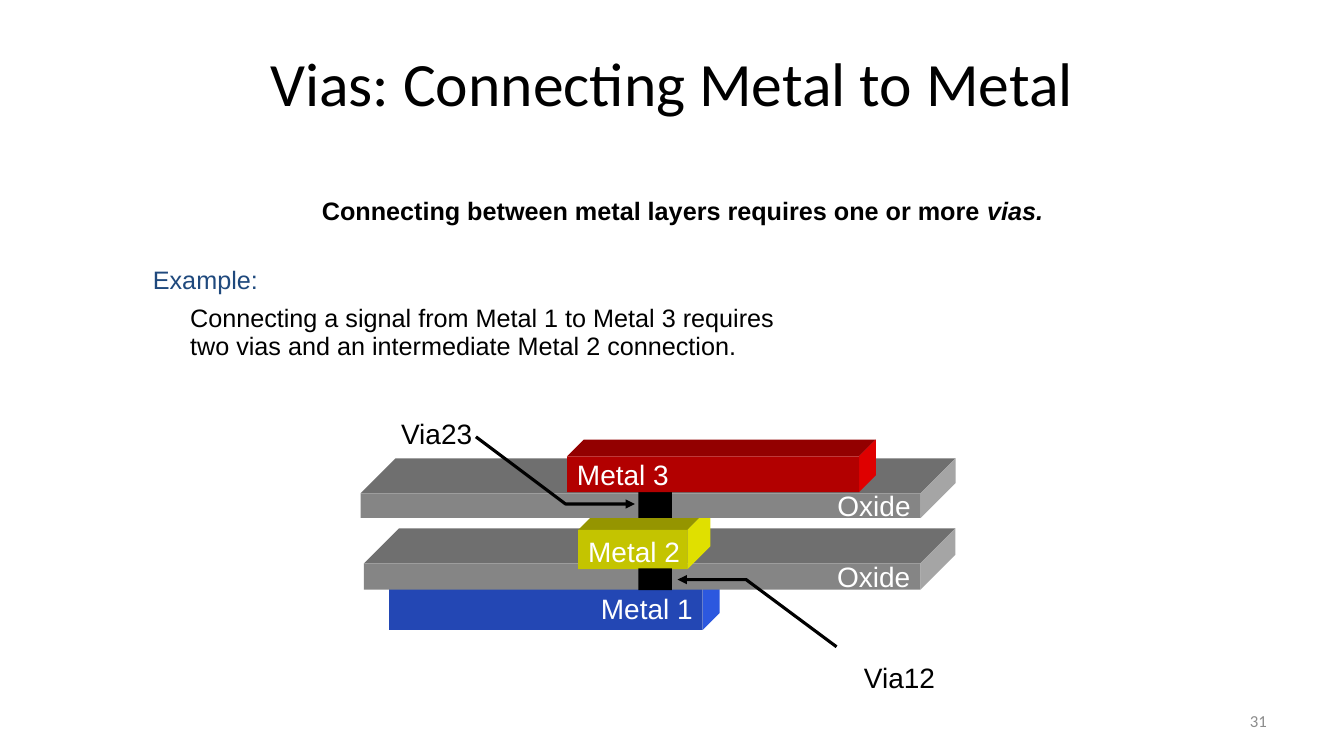
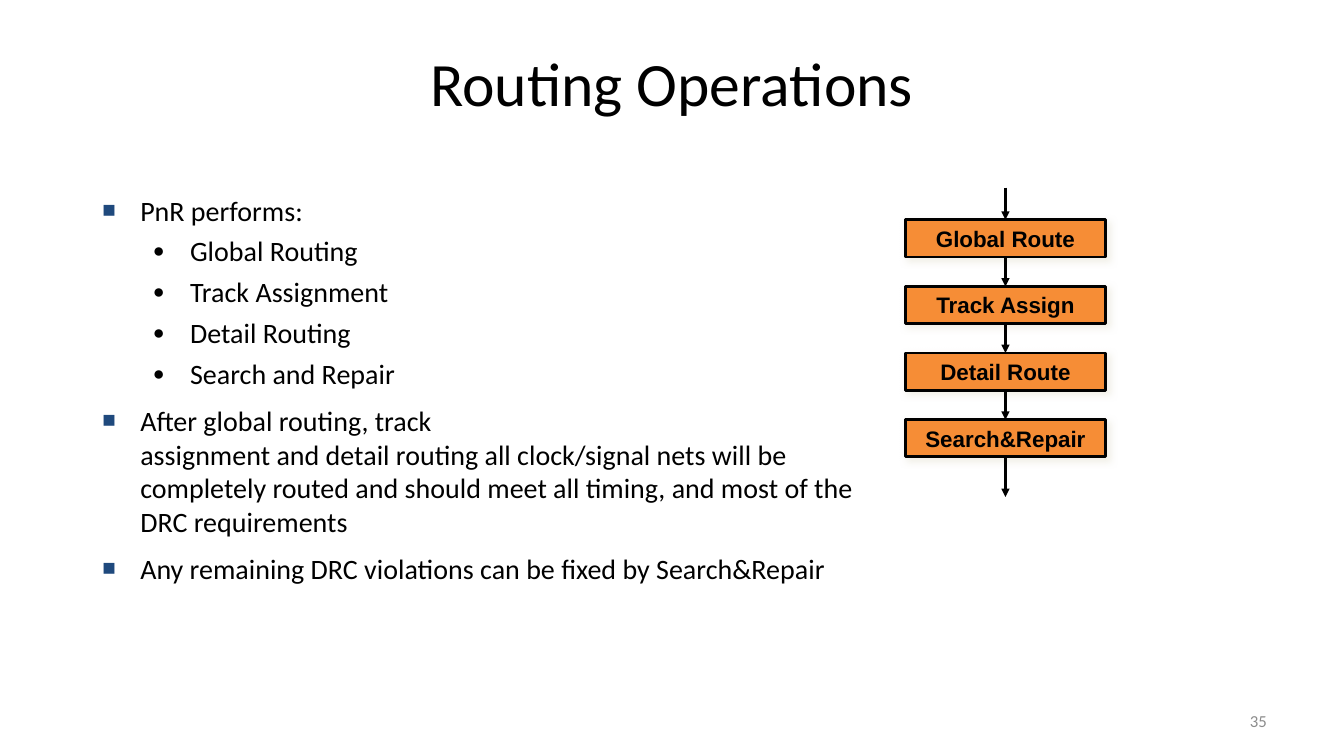
from lxml import etree
from pptx import Presentation
from pptx.dml.color import RGBColor
from pptx.enum.shapes import MSO_CONNECTOR as CONN, MSO_SHAPE as SHAPE
from pptx.enum.text import MSO_ANCHOR as ANCHOR, PP_ALIGN as ALIGN
from pptx.oxml.ns import qn
from pptx.util import Pt

BLACK, WHITE, NAVY, GREY = "000000", "FFFFFF", "1F497D", "8C8C8C"
ORANGE, SHADOW = "F68D36", "EEECE1"

TITLE_AT = (66, 28.8, 828, 104.4)
NUMBER_AT = (688, 500.5, 224, 28.8)

PLAIN = {"name": "Arial", "size": 18, "color": BLACK}
BOLD = {**PLAIN, "bold": True}
LABEL = {**PLAIN, "size": 20}
LAYER = {**LABEL, "color": WHITE}
STEP = {**BOLD, "size": 16}
LIST = {"name": "Calibri", "size": 20, "color": BLACK}
HEADING = {**LIST, "size": 44}
NUMBER = {**LIST, "size": 12, "color": GREY}

VIAS = {
    "title": "Vias: Connecting Metal to Metal",
    "number": "31",
    "body_at": (66, 138.2, 828, 152.6),
    "body": [
        ([("Connecting between metal layers requires one or more ", BOLD),
          ("vias.", {**BOLD, "italic": True})],
         {"left": 15, "line": 0.9, "align": ALIGN.CENTER}),
        ([("Example:", {**PLAIN, "color": NAVY})],
         {"left": 36, "line": 0.9, "before": 30}),
        ([("Connecting a signal from Metal 1 to Metal 3 requires \n"
           "two vias and an intermediate Metal 2 connection.", PLAIN)],
         {"left": 62.6, "line": 0.9, "before": 8}),
    ],
}

OXIDE = ("858585", "6F6F6F", "A5A5A5")
BLUE = ("2347B4", "1C3A93", "2C58DF")
YELLOW = ("C4C400", "959500", "E0E000")
RED = ("B20000", "930000", "DF0000")
VIA = (BLACK,)
STACK = [
    ("Metal 1", (278, 419, 224, 31), 12, BLUE, ALIGN.RIGHT, ANCHOR.MIDDLE),
    ("Oxide", (260, 402.4, 397.4, 18.8), 25, OXIDE, ALIGN.RIGHT, ANCHOR.MIDDLE),
    ("Metal 2", (413, 378.6, 78, 28), 16.5, YELLOW, ALIGN.LEFT, ANCHOR.TOP),
    ("", (456, 406, 24, 15.5), 0, VIA, ALIGN.LEFT, ANCHOR.MIDDLE),
    ("Oxide", (257.6, 352.4, 400, 17.6), 25, OXIDE, ALIGN.RIGHT, ANCHOR.MIDDLE),
    ("", (456, 345, 24, 25), 0, VIA, ALIGN.LEFT, ANCHOR.MIDDLE),
    ("Metal 3", (405, 326, 208.6, 25.6), 12, RED, ALIGN.LEFT, ANCHOR.MIDDLE),
]
CALLOUTS = [
    ("Via23", (279.4, 293.8, 65.6, 31), [(340, 312), (404, 360), (453.6, 360)]),
    ("Via12", (610, 468, 65.6, 31), [(597.6, 462), (533, 414), (484, 414)]),
]

SQUARE = {"left": 27, "indent": -27, "before": 9.5, "bullet": ("■", NAVY, 80)}
DOT = {"left": 62.6, "indent": -26.6, "line": 0.9, "before": 7.5,
       "bullet": ("●", BLACK, 70)}
ROUTING = {
    "title": "Routing Operations",
    "number": "35",
    "body_at": (66, 134.6, 564, 376.6),
    "body": [([(text, LIST)], layout) for text, layout in [
        ("PnR performs:", {**SQUARE, "before": 0}),
        ("Global Routing", DOT),
        ("Track Assignment", DOT),
        ("Detail Routing", DOT),
        ("Search and Repair", DOT),
        ("After global routing, track\nassignment and detail routing all "
         "clock/signal nets will be completely routed and should meet all "
         "timing, and most of the DRC requirements", SQUARE),
        ("Any remaining DRC violations can be fixed by Search&Repair", SQUARE),
    ]],
}
STEPS = ["Global Route", "Track Assign", "Detail Route", "Search&Repair"]
STEP_LEFT, STEP_TOP, STEP_W, STEP_H, STEP_PITCH = 646.6, 157, 143.2, 26.6, 47.6
FLOW_START, FLOW_END = 134, 355


def rgb(value):
    return RGBColor.from_string(value)


def pts(values):
    return [Pt(v) for v in values]


def sub(parent, tag, **attrs):
    child = etree.SubElement(parent, qn(tag))
    for key, value in attrs.items():
        child.set(key, str(value))
    return child


def format_font(font, fmt):
    for key, value in fmt.items():
        if key == "color":
            font.color.rgb = rgb(value)
        else:
            setattr(font, key, Pt(value) if key == "size" else value)


def add_text(p, text, fmt):
    for i, part in enumerate(text.split("\n")):
        if i:
            p.add_line_break()
        r = p.add_run()
        r.text = part
        format_font(r.font, fmt)


def lay_out(p, left=0, indent=0, line=1.0, before=0, align=ALIGN.LEFT, bullet=None):
    pPr = p._p.get_or_add_pPr()
    pPr.set("marL", str(Pt(left)))
    pPr.set("indent", str(Pt(indent)))
    if bullet:
        char, color, size = bullet
        sub(sub(pPr, "a:buClr"), "a:srgbClr", val=color)
        sub(pPr, "a:buSzPct", val=size * 1000)
        sub(pPr, "a:buFont", typeface="Arial")
        sub(pPr, "a:buChar", char=char)
    else:
        sub(pPr, "a:buNone")
    values = {"line_spacing": line, "space_before": Pt(before),
              "space_after": Pt(0), "alignment": align}
    for key, value in values.items():
        setattr(p, key, value)


def write(sp, text, fmt, align=ALIGN.LEFT, anchor=ANCHOR.MIDDLE, wrap=True):
    tf = sp.text_frame
    tf.word_wrap, tf.vertical_anchor = wrap, anchor
    p = tf.paragraphs[0]
    p.alignment = align
    add_text(p, text, fmt)


def place(sp, at):
    sp.left, sp.top, sp.width, sp.height = pts(at)


def paint(sp, fill):
    sp.shadow.inherit = False
    sp.fill.solid()
    sp.fill.fore_color.rgb = rgb(fill)
    sp.line.fill.background()


def outline(shapes, points, close=True):
    (x, y), *rest = [pts(point) for point in points]
    builder = shapes.build_freeform(x, y, scale=1.0)
    builder.add_line_segments(rest, close=close)
    return builder.convert_to_shape()


def arrow_line(sp, width):
    sp.line.color.rgb = rgb(BLACK)
    sp.line.width = Pt(width)
    sub(sp.line._get_or_add_ln(), "a:tailEnd", type="triangle")


def add_block(shapes, text, at, depth, colors, align, anchor):
    x, y, w, h = at
    right, bottom = x + w, y + h
    if depth:
        back, up = right + depth, y - depth
        faces = [
            [(x, y), (x + depth, up), (back, up), (right, y)],
            [(right, y), (back, up), (back, bottom - depth), (right, bottom)],
        ]
        for points, color in zip(faces, colors[1:]):
            paint(outline(shapes, points), color)
    front = shapes.add_shape(SHAPE.RECTANGLE, *pts(at))
    paint(front, colors[0])
    if text:
        write(front, text, LAYER, align, anchor, wrap=False)


def add_callout(shapes, text, at, points):
    write(shapes.add_textbox(*pts(at)), text, LABEL, anchor=ANCHOR.TOP, wrap=False)
    leader = outline(shapes, points, close=False)
    leader.shadow.inherit = False
    leader.fill.background()
    arrow_line(leader, 2.25)


def add_step(shapes, text, top):
    sp = shapes.add_shape(SHAPE.RECTANGLE, *pts((STEP_LEFT, top, STEP_W, STEP_H)))
    paint(sp, ORANGE)
    sp.line.color.rgb = rgb(BLACK)
    sp.line.width = Pt(2)
    effects = sp._element.spPr.find(qn("a:effectLst"))
    shade = sub(effects, "a:outerShdw", blurRad=Pt(5), dist=Pt(3),
                dir=45 * 60000, algn="tl", rotWithShape=0)
    sub(sub(shade, "a:srgbClr", val=SHADOW), "a:alpha", val=75000)
    write(sp, text, STEP, ALIGN.CENTER)
    return sp


def add_flow(shapes):
    boxes = [add_step(shapes, text, STEP_TOP + i * STEP_PITCH)
             for i, text in enumerate(STEPS)]
    x = STEP_LEFT + STEP_W / 2
    for above, below in zip([None] + boxes, boxes + [None]):
        line = shapes.add_connector(CONN.STRAIGHT, *pts((x, FLOW_START, x, FLOW_END)))
        if above:
            line.begin_connect(above, 2)
        if below:
            line.end_connect(below, 0)
        arrow_line(line, 1.5)
        sub(line._element.spPr, "a:effectLst")


def add_slide(prs, content):
    s = prs.slides.add_slide(prs.slide_layouts[1])
    title, body = s.placeholders
    place(title, TITLE_AT)
    write(title, content["title"], HEADING, ALIGN.CENTER, ANCHOR.TOP)
    place(body, content["body_at"])
    tf = body.text_frame
    for i, (runs, layout) in enumerate(content["body"]):
        p = tf.add_paragraph() if i else tf.paragraphs[0]
        lay_out(p, **layout)
        for text, fmt in runs:
            add_text(p, text, fmt)
    number = s.shapes.add_textbox(*pts(NUMBER_AT))
    write(number, content["number"], NUMBER, ALIGN.RIGHT)
    return s.shapes


def main():
    prs = Presentation()
    prs.slide_width, prs.slide_height = Pt(960), Pt(540)
    shapes = add_slide(prs, VIAS)
    for block in STACK:
        add_block(shapes, *block)
    for callout in CALLOUTS:
        add_callout(shapes, *callout)
    add_flow(add_slide(prs, ROUTING))
    prs.save("out.pptx")


if __name__ == "__main__":
    main()
